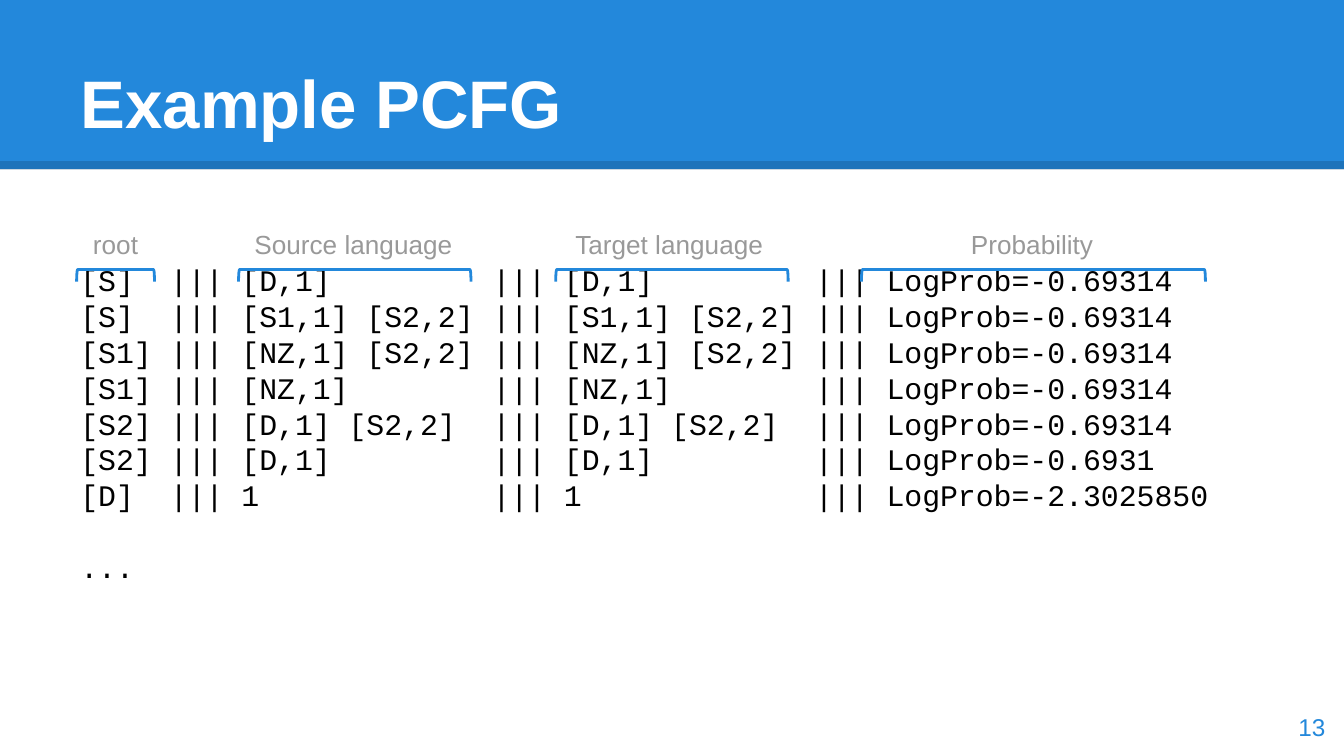
from pptx import Presentation, util as u
from pptx.dml.color import RGBColor
from pptx.enum import shapes, text
from lxml import etree

# Content
TITLE = "Example PCFG"
PAGE_NUMBER = "13"
RULES = [  # root, source, target, probability
    ("[S]", "[D,1]", "[D,1]", "LogProb=-0.69314"),
    ("[S]", "[S1,1] [S2,2]", "[S1,1] [S2,2]", "LogProb=-0.69314"),
    ("[S1]", "[NZ,1] [S2,2]", "[NZ,1] [S2,2]", "LogProb=-0.69314"),
    ("[S1]", "[NZ,1]", "[NZ,1]", "LogProb=-0.69314"),
    ("[S2]", "[D,1] [S2,2]", "[D,1] [S2,2]", "LogProb=-0.69314"),
    ("[S2]", "[D,1]", "[D,1]", "LogProb=-0.6931"),
    ("[D]", "1", "1", "LogProb=-2.3025850"),
]
MORE = "..."
HEADINGS = [  # label, label centre, label width, bracket centre, bracket width
    ("root", 0.86, 0.7, 0.86, 0.58),
    ("Source language", 2.63, 1.7, 2.64, 1.73),
    ("Target language", 4.98, 1.7, 5, 1.73),
    ("Probability", 7.68, 1.7, 7.69, 2.56),
]

# Measures and colours
WIDTH, MARGIN = 10, 0.5
HEIGHT = WIDTH * 9 / 16
BANNER_HEIGHT, EDGE_MIDDLE = 1.26, 1.23
BRACKET_MIDDLE, BRACKET_DEPTH = 2.05, 0.09
CODE_SIZE, CODE_PITCH = 16, 19.2
CHAR_WIDTH = 0.6 * CODE_SIZE / 72
SEPARATOR_COLUMNS = (5, 23, 41)  # in characters
BLUE, WHITE, BLACK, GREY = "2388DB", "FFFFFF", "000000", "999999"
DRAWING = "http://schemas.openxmlformats.org/drawingml/2006/main"


def color(value):
    return RGBColor.from_string(value)


def add_xml(parent, tag, **attributes):
    return etree.SubElement(parent, f"{{{DRAWING}}}{tag}", attributes)


def place(shape, left, top, width, height):
    shape.left, shape.top = u.Inches(left), u.Inches(top)
    shape.width, shape.height = u.Inches(width), u.Inches(height)


def write(shape, words, size, ink, font="Arial", bold=False,
          align=text.PP_ALIGN.LEFT, anchor=text.MSO_ANCHOR.TOP):
    frame = shape.text_frame
    frame.text = words
    frame.word_wrap = True
    frame.auto_size = text.MSO_AUTO_SIZE.NONE
    frame.vertical_anchor = anchor
    frame.margin_left = frame.margin_right = u.Inches(0.1)
    frame.margin_top = frame.margin_bottom = u.Inches(0.1)
    for para in frame.paragraphs:
        para.alignment = align
        for span in para.runs:
            span.font.name, span.font.size = font, u.Pt(size)
            span.font.bold, span.font.color.rgb = bold, color(ink)
    return frame


def add_text(page, at, *args, **options):
    box = page.shapes.add_textbox(*(u.Inches(value) for value in at))
    return write(box, *args, **options)


def add_banner(page):
    banner = page.shapes.add_shape(shapes.MSO_SHAPE.RECTANGLE, 0, 0,
                                   u.Inches(WIDTH), u.Inches(BANNER_HEIGHT))
    banner.shadow.inherit = False
    banner.fill.solid()
    banner.fill.fore_color.rgb = color(BLUE)
    banner.line.fill.background()

    # Translucent edge along the bottom of the banner
    y = u.Inches(EDGE_MIDDLE)
    edge = page.shapes.add_connector(shapes.MSO_CONNECTOR.STRAIGHT,
                                     0, y, u.Inches(WIDTH), y)
    edge.line.width = u.Pt(4.5)
    edge.line.color.rgb = color(BLACK)
    properties = edge._element.spPr
    add_xml(properties.find(f".//{{{DRAWING}}}srgbClr"), "alpha", val="15000")
    add_xml(properties, "effectLst")

    title = page.shapes.title
    place(title, MARGIN, 0.22, WIDTH - 2 * MARGIN, 0.94)
    write(title, TITLE, 36, WHITE, bold=True, anchor=text.MSO_ANCHOR.BOTTOM)
    title.element.getparent().append(title.element)  # in front of the banner


def add_grammar(page):
    lines = ["\t||| ".join(rule) for rule in RULES] + [MORE]
    frame = add_text(page, (MARGIN, 1.31, WIDTH - 2 * MARGIN, 4.07),
                     "\n".join(lines), CODE_SIZE, BLACK, font="Courier New")
    frame.margin_top = u.Inches(0.64)
    for para in frame.paragraphs:
        para.line_spacing = u.Pt(CODE_PITCH)
        para.space_before = u.Pt(CODE_PITCH if para.text == MORE else 0)
        stops = add_xml(para._p.get_or_add_pPr(), "tabLst")
        for column in SEPARATOR_COLUMNS:
            add_xml(stops, "tab", pos=str(u.Inches(column * CHAR_WIDTH)), algn="l")


def add_heading(page, label, label_centre, label_width, centre, span_width):
    # A right bracket turned to open downwards
    bracket = page.shapes.add_shape(
        shapes.MSO_SHAPE.RIGHT_BRACKET,
        u.Inches(centre - BRACKET_DEPTH / 2),
        u.Inches(BRACKET_MIDDLE - span_width / 2),
        u.Inches(BRACKET_DEPTH), u.Inches(span_width))
    bracket.rotation = 270
    bracket.adjustments[0] = 0.083
    bracket.shadow.inherit = False
    bracket.fill.background()
    bracket.line.color.rgb = color(BLUE)
    bracket.line.width = u.Pt(1.5)
    add_text(page, (label_centre - label_width / 2, 1.6, label_width, 0.41),
             label, 14, GREY, align=text.PP_ALIGN.CENTER)


def main():
    deck = Presentation()
    deck.slide_width, deck.slide_height = u.Inches(WIDTH), u.Inches(HEIGHT)
    page = deck.slides.add_slide(deck.slide_layouts.get_by_name("Title Only"))
    add_banner(page)
    add_grammar(page)
    for heading in HEADINGS:
        add_heading(page, *heading)
    add_text(page, (9.36, 5.19, 0.6, 0.43), PAGE_NUMBER, 13, BLUE,
             align=text.PP_ALIGN.RIGHT, anchor=text.MSO_ANCHOR.MIDDLE)
    deck.save("out.pptx")


if __name__ == "__main__":
    main()
